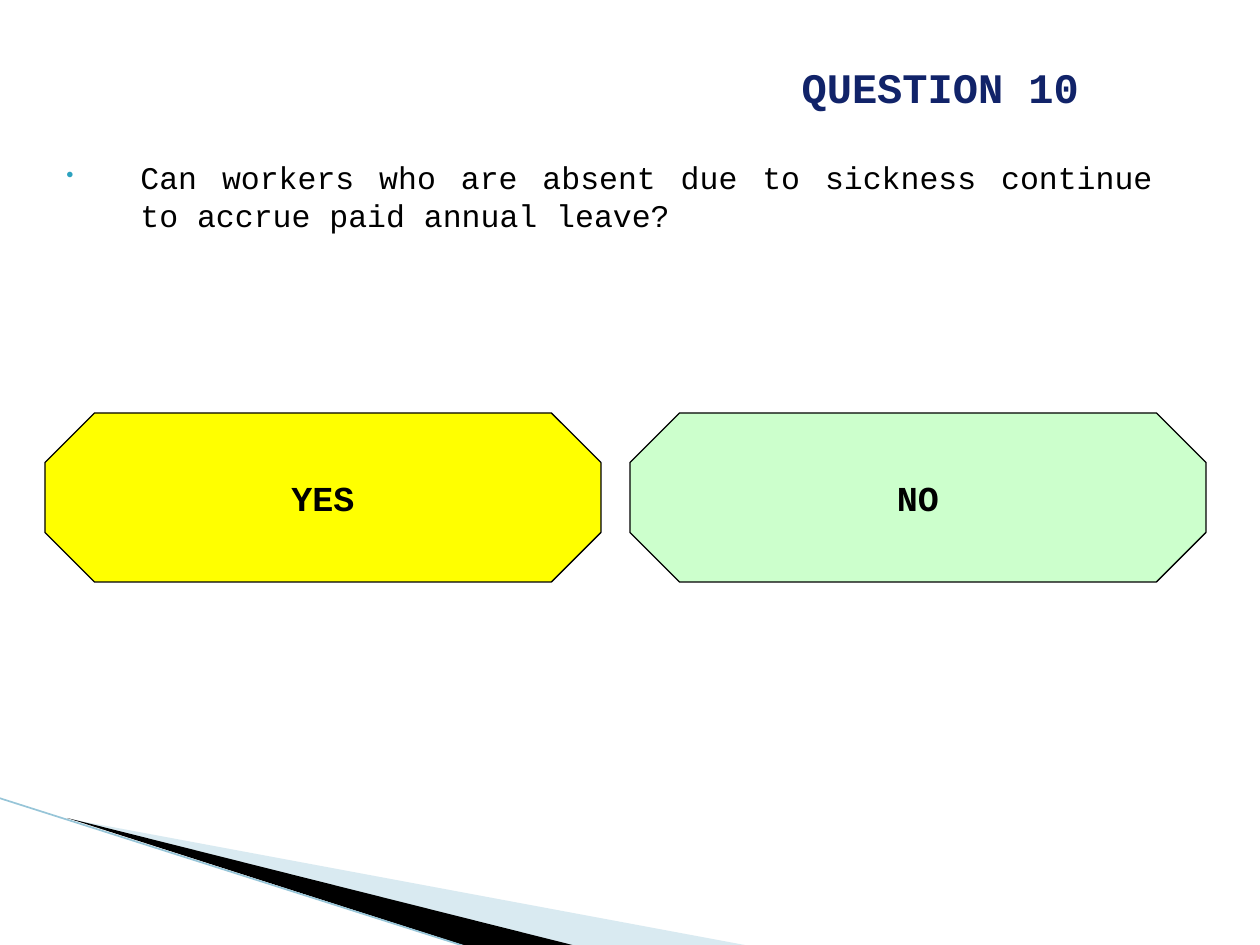
from dataclasses import dataclass

from lxml.etree import SubElement
from pptx import Presentation
from pptx.dml.color import RGBColor
from pptx.enum.shapes import MSO_CONNECTOR as Connector, MSO_SHAPE as Shape
from pptx.enum.text import MSO_ANCHOR as Anchor, MSO_AUTO_SIZE as AutoSize, PP_ALIGN as Align
from pptx.oxml.ns import qn
from pptx.util import Pt

PX = 914400 // 126
FONT = "Courier New"


@dataclass
class Answer:
    text: str
    left: int
    width: int
    fill: str


@dataclass
class Wedge:
    points: list[tuple[int, int]]
    fill: str
    opacity: int = 100


ANSWERS = [
    Answer("YES", 45, 556, "FFFF00"),
    Answer("NO", 630, 576, "CCFFCC"),
]
WEDGES = [
    Wedge([(69, 819), (750, 946), (575, 946)], "A0CBDC", 40),
    Wedge([(67, 818), (576, 946), (469, 947)], "000000"),
]


def color(value: str) -> RGBColor:
    return RGBColor.from_string(value)


def place(shape, left: int, top: int, width: int, height: int) -> None:
    shape.left, shape.top = left * PX, top * PX
    shape.width, shape.height = width * PX, height * PX


def set_format(target, values: dict) -> None:
    for name, value in values.items():
        setattr(target, name, value)


def write(paragraph, text: str, size: int, hex_color: str, bold: bool) -> None:
    paragraph.text = text
    font = paragraph.runs[0].font
    set_format(font, {"name": FONT, "size": Pt(size), "bold": bold})
    font.color.rgb = color(hex_color)


def add_wedge(slide, wedge: Wedge) -> None:
    builder = slide.shapes.build_freeform(*wedge.points[0], scale=PX)
    builder.add_line_segments(wedge.points[1:], close=True)
    shape = builder.convert_to_shape()
    shape.shadow.inherit = False
    shape.fill.solid()
    shape.fill.fore_color.rgb = color(wedge.fill)
    shape.line.fill.background()
    if wedge.opacity < 100:
        fill = shape.fill._xPr.find(qn("a:solidFill"))[0]
        SubElement(fill, qn("a:alpha"), val=str(wedge.opacity * 1000))


def add_edge(slide) -> None:
    edge = slide.shapes.add_connector(Connector.STRAIGHT, -PX, 798 * PX, 467 * PX, 947 * PX)
    edge.line.color.rgb = color("97C5D8")
    edge.line.width = Pt(0.95)
    SubElement(edge._element.spPr, qn("a:effectLst"))


def add_title(slide) -> None:
    title = slide.shapes.title
    place(title, 789, 45, 397, 63)
    set_format(title.text_frame, {
        "word_wrap": True, "auto_size": AutoSize.NONE,
        "vertical_anchor": Anchor.TOP, "margin_top": 16 * PX,
    })
    paragraph = title.text_frame.paragraphs[0]
    write(paragraph, "QUESTION 10", 24, "112369", True)
    paragraph.alignment = Align.LEFT


def add_question(slide) -> None:
    box = slide.shapes.add_textbox(0, 0, 0, 0)
    place(box, 54, 145, 1111, 198)
    set_format(box.text_frame, {"word_wrap": True, "margin_top": 13 * PX})
    paragraph = box.text_frame.paragraphs[0]
    properties = paragraph._p.get_or_add_pPr()
    properties.set("marL", str(74 * PX))
    properties.set("indent", str(-74 * PX))
    bullet_color = SubElement(properties, qn("a:buClr"))
    SubElement(bullet_color, qn("a:srgbClr"), val="2DA2BF")
    SubElement(properties, qn("a:buSzPct"), val="68000")
    SubElement(properties, qn("a:buChar"), char="•")
    write(paragraph, "Can workers who are absent due to sickness continue "
          "to accrue paid annual leave?", 18, "000000", False)
    paragraph.alignment = Align.JUSTIFY


def add_answer(slide, answer: Answer) -> None:
    shape = slide.shapes.add_shape(Shape.OCTAGON, 0, 0, 0, 0)
    place(shape, answer.left, 413, answer.width, 169)
    shape.adjustments[0] = 0.293
    shape.shadow.inherit = False
    shape.fill.solid()
    shape.fill.fore_color.rgb = color(answer.fill)
    shape.line.color.rgb = color("000000")
    shape.line.width = Pt(0.75)
    set_format(shape.text_frame, {"word_wrap": False, "vertical_anchor": Anchor.MIDDLE})
    paragraph = shape.text_frame.paragraphs[0]
    write(paragraph, answer.text, 20, "000000", True)
    paragraph.alignment = Align.CENTER


def main() -> None:
    presentation = Presentation()
    presentation.slide_width, presentation.slide_height = 1260 * PX, 945 * PX
    slide = presentation.slides.add_slide(presentation.slide_layouts[5])
    for wedge in WEDGES:
        add_wedge(slide, wedge)
    add_edge(slide)
    add_question(slide)
    for answer in ANSWERS:
        add_answer(slide, answer)
    add_title(slide)
    presentation.save("out.pptx")


if __name__ == "__main__":
    main()
